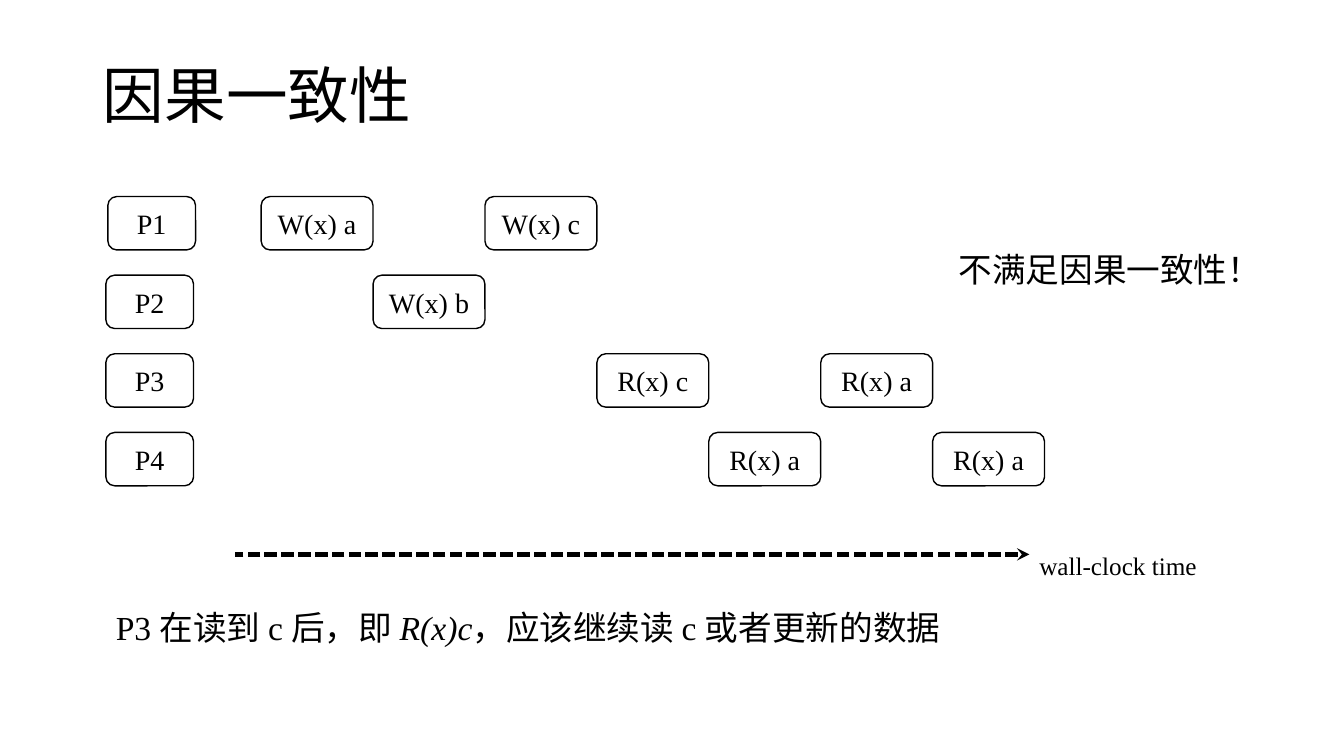
from dataclasses import dataclass

from lxml.etree import SubElement
from pptx import Presentation
from pptx.dml.color import RGBColor
from pptx.enum.dml import MSO_LINE
from pptx.enum.shapes import MSO_CONNECTOR, MSO_SHAPE
from pptx.enum.text import MSO_ANCHOR, MSO_AUTO_SIZE, PP_ALIGN
from pptx.oxml.ns import qn
from pptx.shapes.base import BaseShape
from pptx.slide import Slide
from pptx.text.text import TextFrame
from pptx.util import Inches, Pt

FONT = "Times New Roman"
INK, PAPER = "000000", "FFFFFF"
LEFT, TOP, COL, ROW = 2.59, 1.95, 1.11, 0.78
HIGH = 0.53


@dataclass(frozen=True)
class Box:
    """A rounded box on a process row."""
    text: str
    row: int
    left: float
    width: float


@dataclass(frozen=True)
class Note:
    """Free text made of plain and italic bits."""
    bits: tuple[str, ...]
    left: float
    top: float
    width: float
    height: float
    size: int
    wrap: bool


def step(text: str, row: int, col: int) -> Box:
    """Put an operation on its time column."""
    return Box(text, row, LEFT + col * COL, COL)


NAMES = [Box(f"P{row + 1}", row, 1.05 if row else 1.07, 0.87) for row in range(4)]
STEPS = [
    step("W(x) a", 0, 0),
    step("W(x) b", 1, 1),
    step("W(x) c", 0, 2),
    step("R(x) c", 2, 3),
    step("R(x) a", 3, 4),
    step("R(x) a", 2, 5),
    step("R(x) a", 3, 6),
]
NOTES = [
    Note(("P3 在读到 c 后，即 ", "R(x)c", "，应该继续读 c 或者更新的数据"),
         1.05, 5.97, 8.48, 0.9, 24, True),
    Note(("不满足因果一致性！",), 9.41, 2.42, 3.01, 0.5, 24, True),
    Note(("wall-clock time",), 10.21, 5.41, 1.84, 0.4, 18, False),
]


def tint(code: str) -> RGBColor:
    """Turn a hex string into a colour."""
    return RGBColor.from_string(code)


def style(frame: TextFrame, size: int, align: PP_ALIGN) -> None:
    """Format all text in a frame."""
    for para in frame.paragraphs:
        para.alignment = align
        for run in para.runs:
            run.font.name = FONT
            run.font.size = Pt(size)
            run.font.color.rgb = tint(INK)


def place(shape: BaseShape, left: float, top: float, width: float, height: float) -> None:
    """Move and size a shape in inches."""
    shape.left, shape.top = Inches(left), Inches(top)
    shape.width, shape.height = Inches(width), Inches(height)


def add_title(slide: Slide, text: str) -> None:
    """Fill the title placeholder."""
    title = slide.shapes.title
    place(title, 0.92, 0.25, 11.5, 1.45)
    frame = title.text_frame
    frame.text = text
    frame.vertical_anchor = MSO_ANCHOR.MIDDLE
    frame.paragraphs[0].line_spacing = 0.9
    style(frame, 44, PP_ALIGN.LEFT)


def add_box(slide: Slide, box: Box) -> None:
    """Draw one rounded box."""
    shape = slide.shapes.add_shape(
        MSO_SHAPE.ROUNDED_RECTANGLE, Inches(box.left), Inches(TOP + box.row * ROW),
        Inches(box.width), Inches(HIGH))
    shape.shadow.inherit = False
    shape.fill.solid()
    shape.fill.fore_color.rgb = tint(PAPER)
    shape.line.color.rgb = tint(INK)
    shape.line.width = Pt(1)
    frame = shape.text_frame
    frame.text = box.text
    frame.vertical_anchor = MSO_ANCHOR.MIDDLE
    style(frame, 20, PP_ALIGN.CENTER)


def add_note(slide: Slide, note: Note) -> None:
    """Write a note, with every second bit in italics."""
    shape = slide.shapes.add_textbox(
        Inches(note.left), Inches(note.top), Inches(note.width), Inches(note.height))
    frame = shape.text_frame
    frame.word_wrap = note.wrap
    frame.auto_size = MSO_AUTO_SIZE.SHAPE_TO_FIT_TEXT
    for spot, bit in enumerate(note.bits):
        run = frame.paragraphs[0].add_run()
        run.text = bit
        run.font.italic = spot % 2 == 1
    style(frame, note.size, PP_ALIGN.LEFT)


def add_axis(slide: Slide, start: float, end: float, top: float) -> None:
    """Draw the dashed time arrow."""
    axis = slide.shapes.add_connector(
        MSO_CONNECTOR.STRAIGHT, Inches(start), Inches(top), Inches(end), Inches(top))
    axis.line.color.rgb = tint(INK)
    axis.line.width = Pt(3)
    axis.line.dash_style = MSO_LINE.SQUARE_DOT
    props = axis.element.spPr
    SubElement(props.find(qn("a:ln")), qn("a:headEnd"), type="stealth")
    SubElement(props, qn("a:effectLst"))


def main() -> None:
    """Build and save the slide."""
    deck = Presentation()
    deck.slide_width, deck.slide_height = Inches(13.33), Inches(7.5)
    slide = deck.slides.add_slide(deck.slide_layouts[5])
    add_title(slide, "因果一致性")
    for box in NAMES + STEPS:
        add_box(slide, box)
    add_axis(slide, 10.21, 2.33, 5.5)
    for note in NOTES:
        add_note(slide, note)
    deck.save("out.pptx")


if __name__ == "__main__":
    main()
